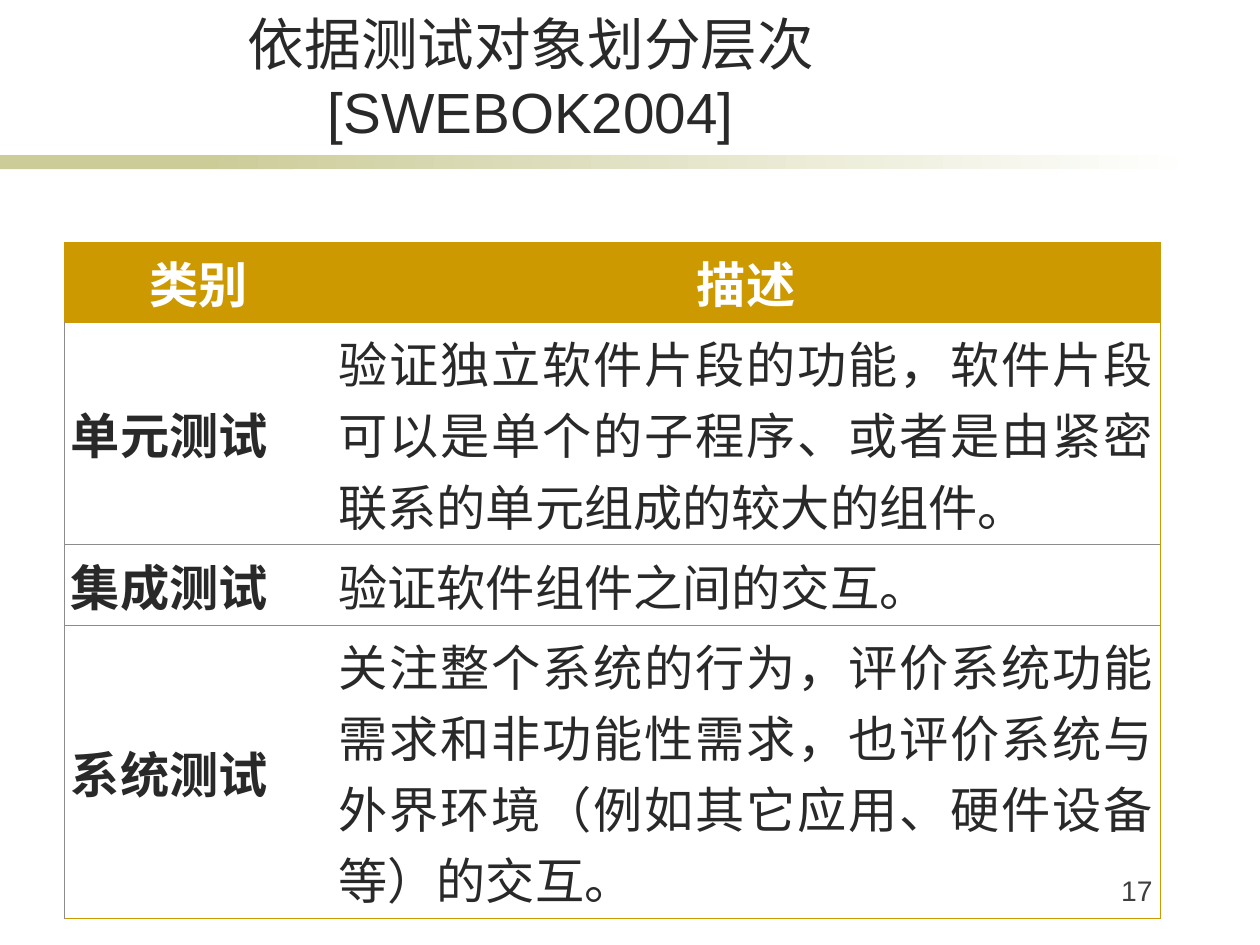
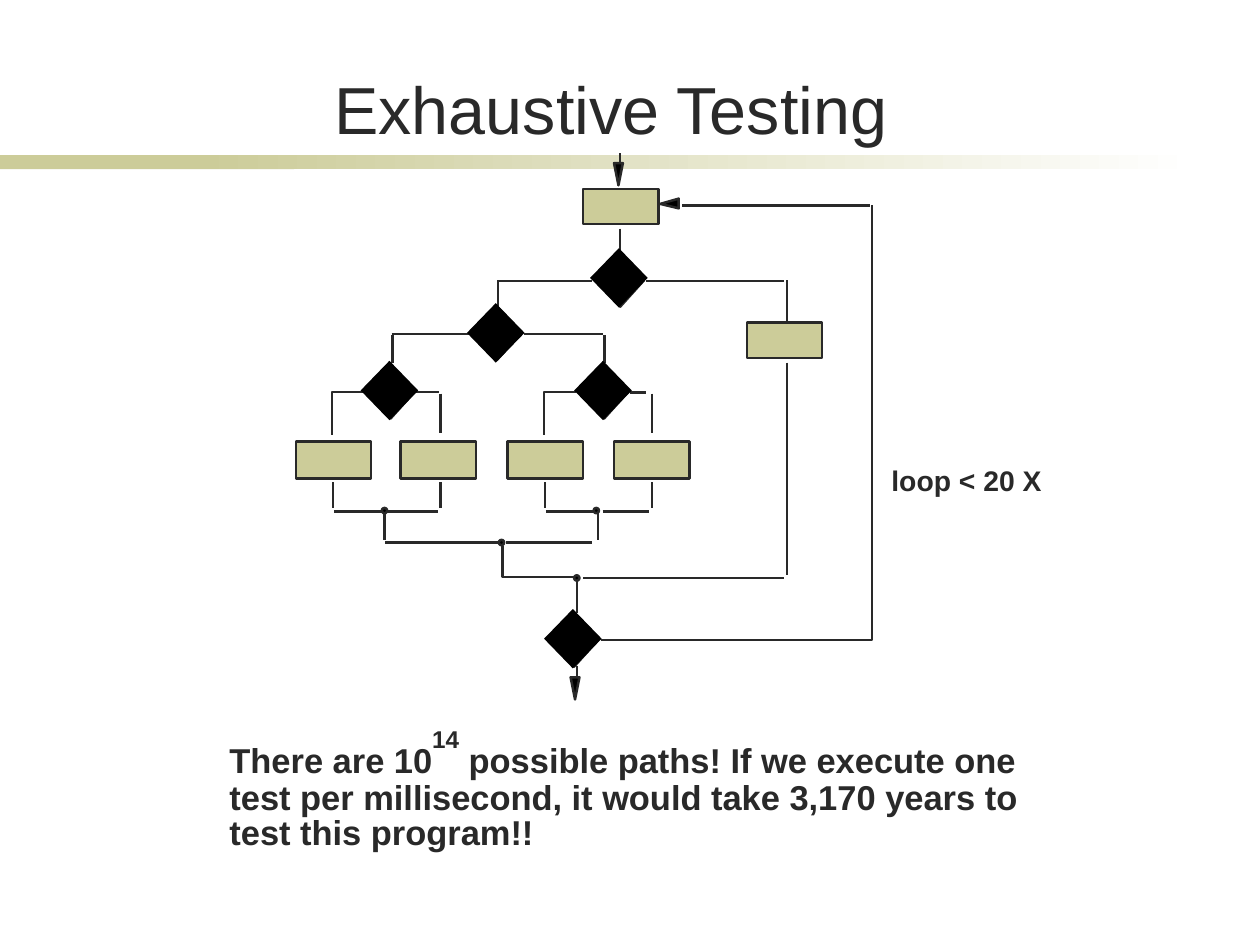
from dataclasses import dataclass

from lxml.etree import SubElement
from pptx import Presentation
from pptx.dml.color import RGBColor
from pptx.enum.shapes import MSO_CONNECTOR, MSO_SHAPE as Preset
from pptx.enum.text import MSO_ANCHOR as Anchor, MSO_AUTO_SIZE as AutoSize, PP_ALIGN as Align
from pptx.oxml.ns import qn
from pptx.util import Inches, Pt


@dataclass(frozen=True)
class Theme:
    font: str = "Arial"
    ink: str = "292929"
    number_ink: str = "3F3F3F"
    white: str = "FFFFFF"
    black: str = "000000"
    sage: str = "CCCC99"
    gold: str = "CC9900"
    rule: str = "8C8C8C"
    title_size: int = 54
    long_title_size: int = 46
    table_size: int = 40
    statement_size: int = 28
    exponent_size: int = 34
    label_size: int = 23
    stroke: float = 2
    hairline: float = 0.34


THEME = Theme()
NO_STYLE_TABLE = "{2D5ABB26-0587-4C30-8999-92F81FD0307C}"


def rgb(code):
    return RGBColor.from_string(code)


def write(frame, text, *, size, color=THEME.ink, bold=False, align=Align.LEFT, raised=0, pitch=None):
    paragraph = frame.paragraphs[0]
    paragraph.alignment = align
    if pitch:
        paragraph.line_spacing = Pt(pitch)
    run = paragraph.add_run()
    run.text = text
    run.font.name, run.font.size, run.font.bold = THEME.font, Pt(size), bold
    run.font.color.rgb = rgb(color)
    if raised:
        run.font._element.set("baseline", str(raised * 1000))


class Deck:
    """Holds the style and the current slide, and draws each kind of element."""

    def __init__(self, theme):
        self.theme = theme
        self.prs = Presentation()
        self.prs.slide_width, self.prs.slide_height = Inches(14.22), Inches(10.66)
        self.slide = None

    def add_slide(self, title, at, size, anchor):
        first = self.slide is None
        self.slide = self.prs.slides.add_slide(self.prs.slide_layouts[5])
        if first:
            self.master_bands()
        heading = self.slide.shapes.title
        heading.left, heading.top, heading.width, heading.height = map(Inches, at)
        self.set_frame(heading.text_frame, anchor)
        write(heading.text_frame, title, size=size, align=Align.CENTER)

    def master_bands(self):
        solid = self.shape(Preset.RECTANGLE, (0, 1.75, 3.32, 0.16), self.theme.sage)
        fading = self.shape(Preset.RECTANGLE, (2.25, 1.75, 11.26, 0.16), self.theme.sage)
        fading.fill.gradient()
        fading.fill.gradient_angle = 0
        for stop, color in zip(fading.fill.gradient_stops, (self.theme.sage, self.theme.white)):
            stop.color.rgb = rgb(color)
        tree = self.prs.slide_master.shapes.element
        for index, band in enumerate((solid, fading), start=2):
            tree.insert(index, band.element)

    def set_frame(self, frame, anchor=Anchor.TOP):
        frame.word_wrap, frame.auto_size = True, AutoSize.NONE
        frame.vertical_anchor = anchor
        frame.margin_left = frame.margin_right = Inches(0.14)
        frame.margin_top = frame.margin_bottom = Inches(0.07)

    def text_box(self, at):
        frame = self.slide.shapes.add_textbox(*map(Inches, at)).text_frame
        self.set_frame(frame)
        return frame

    def stroke(self, line):
        line.color.rgb = rgb(self.theme.ink)
        line.width = Pt(self.theme.stroke)

    def shape(self, preset, at, fill, outlined=False):
        shape = self.slide.shapes.add_shape(preset, *map(Inches, at))
        shape.shadow.inherit = False
        shape.fill.solid()
        shape.fill.fore_color.rgb = rgb(fill)
        if outlined:
            self.stroke(shape.line)
        else:
            shape.line.fill.background()
        return shape

    def line(self, x1, y1, x2, y2):
        ends = map(Inches, (x1, y1, x2, y2))
        connector = self.slide.shapes.add_connector(MSO_CONNECTOR.STRAIGHT, *ends)
        self.stroke(connector.line)
        SubElement(connector._element.spPr, qn("a:effectLst"))

    def polyline(self, *points):
        start, *rest = [(Inches(x), Inches(y)) for x, y in points]
        builder = self.slide.shapes.build_freeform(*start)
        builder.add_line_segments(rest, close=False)
        outline = builder.convert_to_shape()
        outline.shadow.inherit = False
        outline.fill.background()
        self.stroke(outline.line)
        return outline

    def arrowhead(self, tip, left, right):
        head = self.polyline(tip, left, right, tip)
        head.fill.solid()
        head.fill.fore_color.rgb = rgb(self.theme.black)
        SubElement(head.line._get_or_add_ln(), qn("a:tailEnd"), type="triangle")

    def diamond(self, left, top, middle):
        for tip in (middle - 0.3, middle + 0.3):
            self.polyline((left + 0.08, middle), (left + 0.34, tip), (left + 0.61, middle))
        self.shape(Preset.DIAMOND, (left, top, 0.65, 0.67), self.theme.black)

    def border(self, cell, **edges):
        properties = cell._tc.get_or_add_tcPr()
        for index, edge in enumerate(e for e in ("lnL", "lnR", "lnT", "lnB") if e in edges):
            line = SubElement(properties, qn(f"a:{edge}"), w=str(Pt(self.theme.hairline)))
            fill = SubElement(line, qn("a:solidFill"))
            SubElement(fill, qn("a:srgbClr"), val=edges[edge])
            properties.insert(index, line)

    def table(self, at, widths, heights, rows):
        theme = self.theme
        frame = self.slide.shapes.add_table(len(rows), len(widths), *map(Inches, at))
        table = frame.table
        table.first_row = table.horz_banding = False
        table._tbl.tblPr.find(qn("a:tableStyleId")).text = NO_STYLE_TABLE
        for column, width in zip(table.columns, widths):
            column.width = Inches(width)
        for row, height in zip(table.rows, heights):
            row.height = Inches(height)
        for r, texts in enumerate(rows):
            header, last = r == 0, r == len(rows) - 1
            for c, text in enumerate(texts):
                cell = table.cell(r, c)
                cell.margin_left = cell.margin_right = Inches(0.07)
                cell.margin_top = cell.margin_bottom = Inches(0.05)
                cell.vertical_anchor = Anchor.TOP if header else Anchor.MIDDLE
                if header:
                    cell.fill.solid()
                    cell.fill.fore_color.rgb = rgb(theme.gold)
                else:
                    cell.fill.background()
                side = {"lnR": theme.gold} if c else {"lnL": theme.gold if header else theme.rule}
                self.border(cell, **side, lnT=theme.gold if r < 2 else theme.rule,
                            lnB=theme.gold if header or last else theme.rule)
                write(cell.text_frame, text, size=theme.table_size, bold=header or c == 0,
                      color=theme.white if header else theme.ink,
                      align=Align.CENTER if header else Align.JUSTIFY)


def test_levels(deck):
    deck.add_slide("依据测试对象划分层次[SWEBOK2004]", (1.62, 0.81, 8.74, 0.9),
                   THEME.long_title_size, Anchor.BOTTOM)
    write(deck.text_box((11.7, 9.78, 1.45, 0.71)), "17", size=THEME.label_size,
          color=THEME.number_ink, align=Align.RIGHT)
    deck.table((0.73, 2.73, 12.36, 6), (3.02, 9.34), (0.67, 2, 0.67, 2.67), [
        ("类别", "描述"),
        ("单元测试", "验证独立软件片段的功能，软件片段可以是单个的子程序、"
                 "或者是由紧密联系的单元组成的较大的组件。"),
        ("集成测试", "验证软件组件之间的交互。"),
        ("系统测试", "关注整个系统的行为，评价系统功能需求和非功能性需求，"
                 "也评价系统与外界环境（例如其它应用、硬件设备等）的交互。"),
    ])


def exhaustive_testing(deck):
    deck.add_slide("Exhaustive Testing", (0.71, 0.77, 12.37, 0.89), THEME.title_size, Anchor.MIDDLE)

    rungs = [
        (2.32, 7.7, 9.82), (3.17, 5.63, 6.68), (3.17, 7.29, 8.85),
        (3.77, 4.42, 5.35), (3.77, 5.91, 6.8), (4.42, 4.68, 4.96), (4.43, 7.11, 7.29),
        (5.77, 3.77, 4.94), (5.77, 6.16, 6.76), (5.77, 6.8, 7.33),
        (6.12, 4.35, 5.65), (6.12, 5.71, 6.68), (6.52, 6.58, 8.85),
    ]
    for y, start, end in rungs:
        deck.line(start, y, end, y)
    drops = [
        (7, 1.73, 1.89), (7, 2.58, 2.84), (5.62, 3.16, 3.47), (8.88, 3.16, 3.62),
        (8.88, 4.09, 6.49), (4.43, 3.78, 4.09), (6.82, 3.78, 4.09),
        (4.34, 5.78, 6.09), (6.75, 5.78, 6.09), (6.51, 6.51, 6.91), (6.51, 7.51, 7.71),
    ]
    drops += [(x, 4.44, 4.89) for x in (4.97, 7.36)]
    drops += [(x, 5.44, 5.73) for x in (3.76, 4.97, 6.15, 7.36)]
    for x, start, end in drops:
        deck.line(x, start, x, end)

    for x in (3.75, 6.14):
        deck.polyline((x + 0.36, 4.42), (x, 4.42), (x, 4.91))
    deck.polyline((5.67, 6.16), (5.67, 6.51), (6.5, 6.51))
    deck.polyline((6.78, 7.22), (9.84, 7.22), (9.84, 2.31))

    for x, y in ((6.98, 2.09), (6.49, 7.89)):
        deck.arrowhead((x, y), (x - 0.05, y - 0.25), (x + 0.05, y - 0.25))
    deck.arrowhead((7.45, 2.3), (7.66, 2.24), (7.66, 2.35))

    steps = [(6.58, 2.13, 0.4), (8.43, 3.64, 0.4)]
    steps += [(left, 4.98, 0.42) for left in (3.34, 4.52, 5.73, 6.93)]
    for left, top, height in steps:
        deck.shape(Preset.RECTANGLE, (left, top, 0.85, height), THEME.sage, outlined=True)
    for left, top in ((4.31, 5.73), (6.7, 5.73), (5.63, 6.09), (6.48, 6.49)):
        deck.shape(Preset.OVAL, (left, top, 0.06, 0.06), THEME.black, outlined=True)
    decisions = [(6.66, 2.8, 3.16), (5.27, 3.42, 3.76), (4.07, 4.07, 4.42),
                 (6.48, 4.07, 4.42), (6.14, 6.87, 7.22)]
    for left, top, middle in decisions:
        deck.diamond(left, top, middle)

    write(deck.text_box((9.86, 5.15, 2.1, 0.52)), "loop < 20 X",
          size=THEME.label_size, bold=True, align=Align.CENTER)
    statement = deck.text_box((2.45, 8.35, 9.3, 1.34))
    style = dict(bold=True, pitch=28.8)
    write(statement, "There are 10", size=THEME.statement_size, **style)
    write(statement, "14", size=THEME.exponent_size, raised=60, **style)
    write(statement, " possible paths! If we execute one test per millisecond, "
          "it would take 3,170 years to test this program!!", size=THEME.statement_size, **style)


def main():
    deck = Deck(THEME)
    test_levels(deck)
    exhaustive_testing(deck)
    deck.prs.save("out.pptx")


if __name__ == "__main__":
    main()
